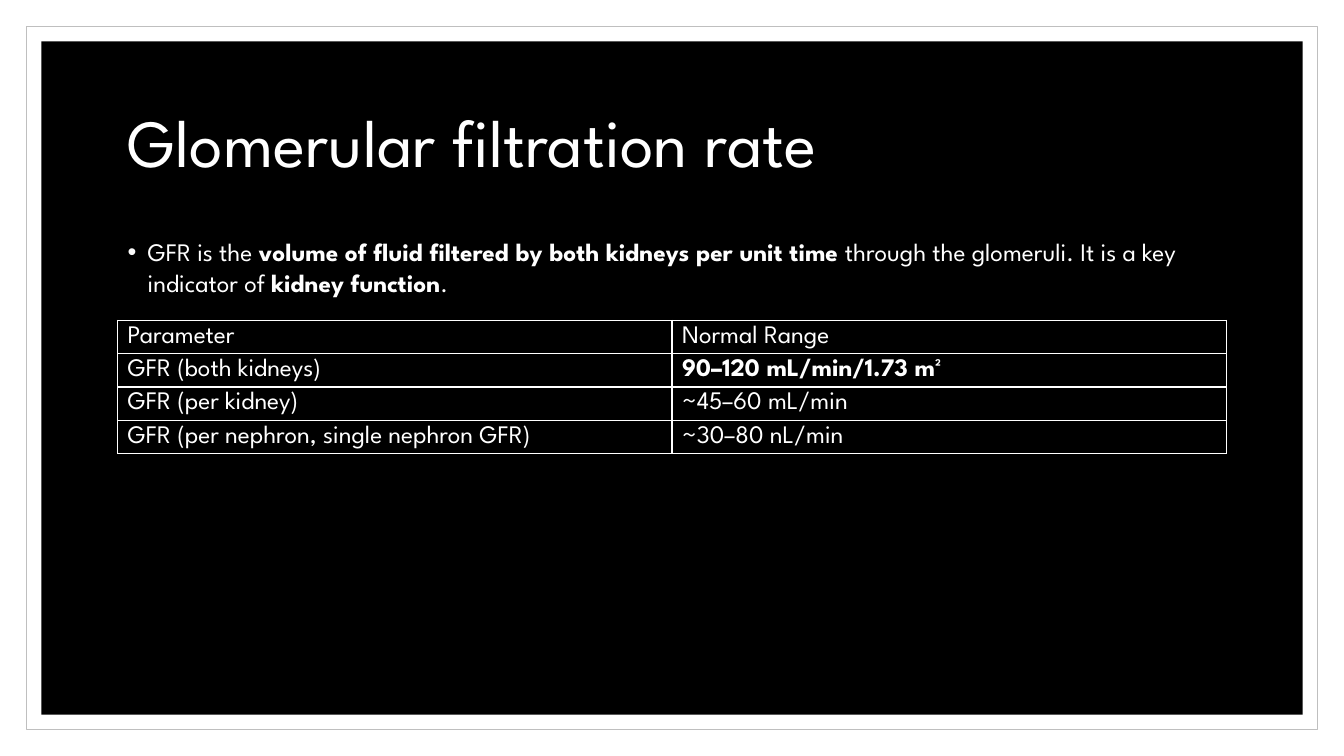
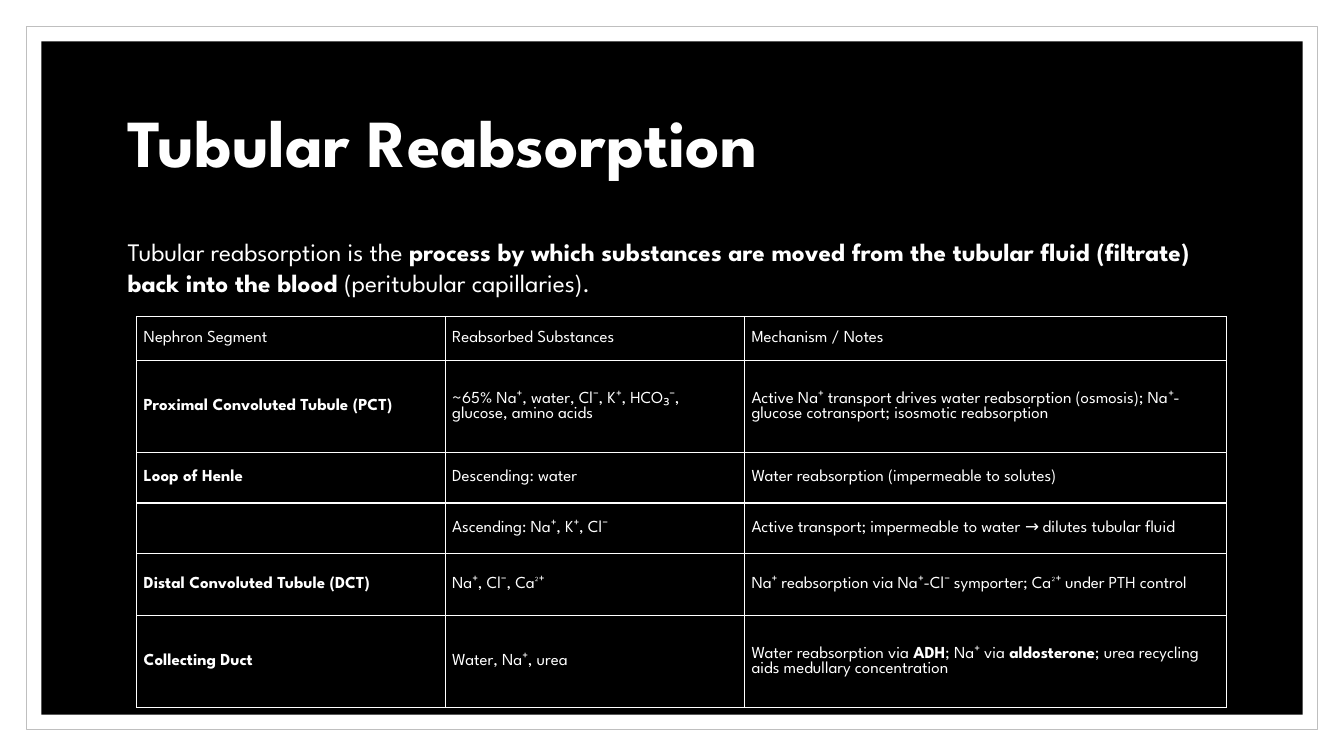
import pptx
import pptx.util
import pptx.dml.color
import pptx.enum.shapes
import pptx.enum.text
from lxml import etree

FONT = "League Spartan"
WHITE = "FFFFFF"
BLACK = "000000"
GREY = "BFBFBF"
BULLET = "FBFBFB"
DRAWING = "{http://schemas.openxmlformats.org/drawingml/2006/main}"

deck = pptx.Presentation()
deck.slide_width = pptx.util.Inches(13.33)
deck.slide_height = pptx.util.Inches(7.5)
COL = deck.slide_width / 80
ROW = deck.slide_height / 75
MARGIN = 7
CONTENT = 80 - 2 * MARGIN
ANCHOR = pptx.enum.text.MSO_ANCHOR


def color(value):
    return pptx.dml.color.RGBColor.from_string(value)


def write(paragraph, text, size):
    for index, part in enumerate(text.split("**")):
        if part:
            run = paragraph.add_run()
            run.text = part
            run.font.name = FONT
            run.font.size = pptx.util.Pt(size)
            run.font.bold = index % 2 == 1
            run.font.color.rgb = color(WHITE)


frame = [(1.56, 2.6, WHITE, GREY), (2.46, 4.1, BLACK, None)]

topics = [
    {
        "title": "Glomerular filtration rate",
        "intro": "GFR is the **volume of fluid filtered by both kidneys per unit time** "
                 "through the glomeruli. It is a key indicator of **kidney function**.",
        "bulleted": True,
        "origin": (MARGIN, 31.8),
        "columns": [CONTENT / 2] * 2,
        "rows": [3.3] * 4,
        "size": 18,
        "insets": (7.2, 0),
        "cells": [
            ["Parameter", "Normal Range"],
            ["GFR (both kidneys)", "**90–120 mL/min/1.73 m²**"],
            ["GFR (per kidney)", "~45–60 mL/min"],
            ["GFR (per nephron, single nephron GFR)", "~30–80 nL/min"],
        ],
    },
    {
        "title": "**Tubular Reabsorption**",
        "intro": "Tubular reabsorption is the **process by which substances are moved from "
                 "the tubular fluid (filtrate) back into the blood** (peritubular capillaries).",
        "bulleted": False,
        "origin": (8.14, 31.4),
        "columns": [18.36, 17.82, 28.68],
        "rows": [4.4, 9.1, 5, 5, 6.2, 9.1],
        "size": 12,
        "insets": (5, 3),
        "cells": [
            ["Nephron Segment", "Reabsorbed Substances", "Mechanism / Notes"],
            ["**Proximal Convoluted Tubule (PCT)**",
             "~65% Na⁺, water, Cl⁻, K⁺, HCO₃⁻, glucose, amino acids",
             "Active Na⁺ transport drives water reabsorption (osmosis); "
             "Na⁺-glucose cotransport; isosmotic reabsorption"],
            ["**Loop of Henle**", "Descending: water",
             "Water reabsorption (impermeable to solutes)"],
            ["", "Ascending: Na⁺, K⁺, Cl⁻",
             "Active transport; impermeable to water → dilutes tubular fluid"],
            ["**Distal Convoluted Tubule (DCT)**", "Na⁺, Cl⁻, Ca²⁺",
             "Na⁺ reabsorption via Na⁺-Cl⁻ symporter; Ca²⁺ under PTH control"],
            ["**Collecting Duct**", "Water, Na⁺, urea",
             "Water reabsorption via **ADH**; Na⁺ via **aldosterone**; "
             "urea recycling aids medullary concentration"],
        ],
    },
]

for topic in topics:
    slide = deck.slides.add_slide(deck.slide_layouts[6])

    for left, top, fill, outline in frame:
        panel = slide.shapes.add_shape(
            pptx.enum.shapes.MSO_SHAPE.RECTANGLE,
            int(left * COL), int(top * ROW),
            int((80 - 2 * left) * COL), int((75 - 2 * top) * ROW))
        panel.shadow.inherit = False
        panel.fill.solid()
        panel.fill.fore_color.rgb = color(fill)
        if outline:
            panel.line.color.rgb = color(outline)
            panel.line.width = pptx.util.Pt(0.5)
        else:
            panel.line.fill.background()

    blocks = [
        (topic["title"], 7, 15, 48, ANCHOR.MIDDLE, 0.9, 0),
        (topic["intro"], 23, 43, 18, ANCHOR.TOP, 1.0, 9),
    ]
    for text, top, height, size, anchor, leading, before in blocks:
        block = slide.shapes.add_textbox(
            int(MARGIN * COL), int(top * ROW), int(CONTENT * COL), int(height * ROW))
        block.text_frame.word_wrap = True
        block.text_frame.vertical_anchor = anchor
        paragraph = block.text_frame.paragraphs[0]
        paragraph.line_spacing = leading
        paragraph.space_before = pptx.util.Pt(before)
        write(paragraph, text, size)

    if topic["bulleted"]:
        properties = paragraph._p.get_or_add_pPr()
        properties.set("marL", str(pptx.util.Inches(0.2)))
        properties.set("indent", str(pptx.util.Inches(-0.2)))
        bullet_color = etree.SubElement(properties, DRAWING + "buClr")
        etree.SubElement(bullet_color, DRAWING + "srgbClr", val=BULLET)
        etree.SubElement(properties, DRAWING + "buFont", typeface="Arial")
        etree.SubElement(properties, DRAWING + "buChar", char="•")

    left, top = topic["origin"]
    table = slide.shapes.add_table(
        len(topic["rows"]), len(topic["columns"]),
        int(left * COL), int(top * ROW),
        int(sum(topic["columns"]) * COL), int(sum(topic["rows"]) * ROW)).table
    table.first_row = False
    table.horz_banding = False
    for column, width in zip(table.columns, topic["columns"]):
        column.width = int(width * COL)
    for row, height, texts in zip(table.rows, topic["rows"], topic["cells"]):
        row.height = int(height * ROW)
        for cell, text in zip(row.cells, texts):
            side_inset, end_inset = topic["insets"]
            cell.margin_left = cell.margin_right = pptx.util.Pt(side_inset)
            cell.margin_top = cell.margin_bottom = pptx.util.Pt(end_inset)
            cell.vertical_anchor = ANCHOR.MIDDLE
            write(cell.text_frame.paragraphs[0], text, topic["size"])
            for side in ("lnL", "lnR", "lnT", "lnB"):
                border = etree.SubElement(
                    cell._tc.get_or_add_tcPr(), DRAWING + side, w=str(pptx.util.Pt(1)))
                border_fill = etree.SubElement(border, DRAWING + "solidFill")
                etree.SubElement(border_fill, DRAWING + "srgbClr", val=WHITE)
            cell.fill.background()

deck.save("out.pptx")
